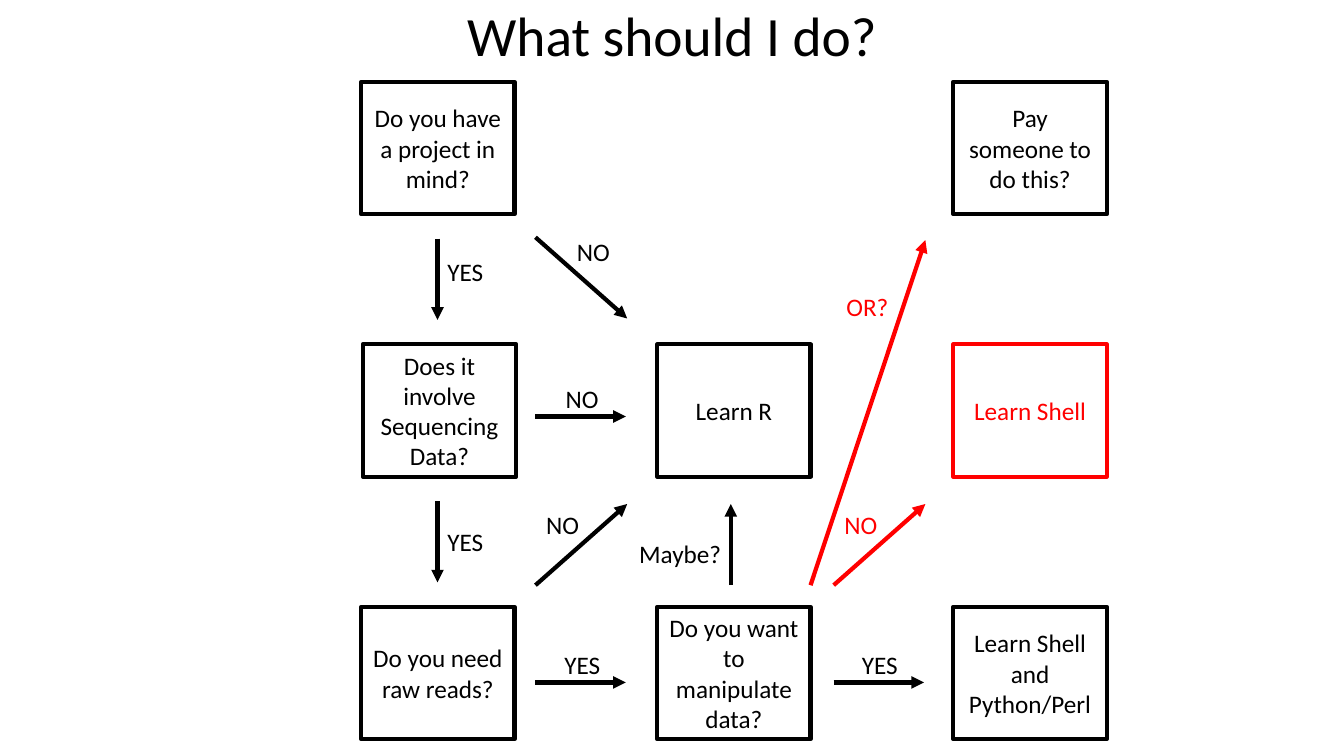
"""Builds a one-slide decision chart on which tool to learn."""
from lxml.etree import SubElement
from pptx import Presentation
from pptx.dml.color import RGBColor
from pptx.enum.shapes import MSO_CONNECTOR, MSO_SHAPE
from pptx.enum.text import MSO_ANCHOR, MSO_AUTO_SIZE, PP_ALIGN
from pptx.oxml.ns import qn
from pptx.util import Pt

COLORS = {"ink": "000000", "alert": "FF0000", "paper": "FFFFFF"}
TITLE = "What should I do?"
BOXES = [
    (0, 0, "Do you have a project in mind?", "ink"),
    (0, 1, "Does it involve Sequencing Data?", "ink"),
    (0, 2, "Do you need raw reads?", "ink"),
    (1, 1, "Learn R", "ink"),
    (1, 2, "Do you want to manipulate data?", "ink"),
    (2, 0, "Pay someone to do this?", "ink"),
    (2, 1, "Learn Shell", "alert"),
    (2, 2, "Learn Shell\nand Python/Perl", "ink"),
]
ARROWS = [
    ((312.5, 170.5), (312.5, 228.5), "ink"),
    ((312.5, 358), (312.5, 416), "ink"),
    ((382.5, 169.5), (448, 227.5), "ink"),
    ((382.5, 297.5), (447, 297.5), "ink"),
    ((382.5, 418), (448, 360), "ink"),
    ((382.5, 487.5), (447, 487.5), "ink"),
    ((522, 418), (522, 360), "ink"),
    ((595.5, 487.5), (660, 487.5), "ink"),
    ((595.5, 418), (661, 360), "alert"),
    ((579, 418), (661, 171.5), "alert"),
]
LABELS = [
    ("YES", 312.5, 179.5, 42.5, "ink"),
    ("YES", 312.5, 372.5, 42.5, "ink"),
    ("NO", 405, 165, 42.5, "ink"),
    ("NO", 397, 270, 42.5, "ink"),
    ("NO", 383, 360, 42.5, "ink"),
    ("YES", 396, 460, 42.5, "ink"),
    ("Maybe?", 449.5, 381, 77.5, "ink"),
    ("YES", 608.5, 460, 42.5, "ink"),
    ("NO", 596, 360, 42.5, "alert"),
    ("OR?", 597.5, 204.5, 47.5, "alert"),
]
LEFT, TOP = 258, 58.5
STEP_X, STEP_Y = 211.5, 187.5
BOX_W, BOX_H = 109.5, 94.5
NUDGE = {(0, 1): 1.2}


def tone(name):
    return RGBColor.from_string(COLORS[name])


def write(shape, text, size=18, color="ink", align=PP_ALIGN.CENTER,
          anchor=MSO_ANCHOR.MIDDLE, fit=MSO_AUTO_SIZE.NONE, spacing=None):
    frame = shape.text_frame
    frame.text = text
    frame.word_wrap = True
    frame.auto_size = fit
    frame.vertical_anchor = anchor
    for para in frame.paragraphs:
        para.alignment = align
        para.line_spacing = spacing
        para.font.name = "Calibri"
        para.font.size = Pt(size)
        para.font.color.rgb = tone(color)


def stroke(shape, color):
    shape.line.color.rgb = tone(color)
    shape.line.width = Pt(3)


def add_box(slide, col, row, text, color):
    left = LEFT + col * STEP_X + NUDGE.get((col, row), 0)
    box = slide.shapes.add_shape(MSO_SHAPE.RECTANGLE, Pt(left),
                                 Pt(TOP + row * STEP_Y), Pt(BOX_W), Pt(BOX_H))
    box.shadow.inherit = False
    box.fill.solid()
    box.fill.fore_color.rgb = tone("paper")
    stroke(box, color)
    write(box, text, color=color)


def add_arrow(slide, start, end, color):
    arrow = slide.shapes.add_connector(
        MSO_CONNECTOR.STRAIGHT, *[Pt(n) for n in start + end])
    stroke(arrow, color)
    SubElement(arrow.line._get_or_add_ln(), qn("a:tailEnd"), type="triangle")
    SubElement(arrow._element.spPr, qn("a:effectLst"))


def add_label(slide, text, left, top, width, color):
    label = slide.shapes.add_textbox(Pt(left), Pt(top), Pt(width), Pt(29))
    write(label, text, color=color, align=PP_ALIGN.LEFT,
          anchor=MSO_ANCHOR.TOP, fit=MSO_AUTO_SIZE.SHAPE_TO_FIT_TEXT)


def main():
    deck = Presentation()
    deck.slide_width, deck.slide_height = Pt(960), Pt(540)
    slide = deck.slides.add_slide(deck.slide_layouts[5])
    title = slide.shapes.title
    title.left, title.top = Pt(66), Pt(10.5)
    title.width, title.height = Pt(828), Pt(34.5)
    write(title, TITLE, size=39.6, spacing=0.9)
    for box in BOXES:
        add_box(slide, *box)
    for arrow in ARROWS:
        add_arrow(slide, *arrow)
    for label in LABELS:
        add_label(slide, *label)
    deck.save("out.pptx")


if __name__ == "__main__":
    main()
